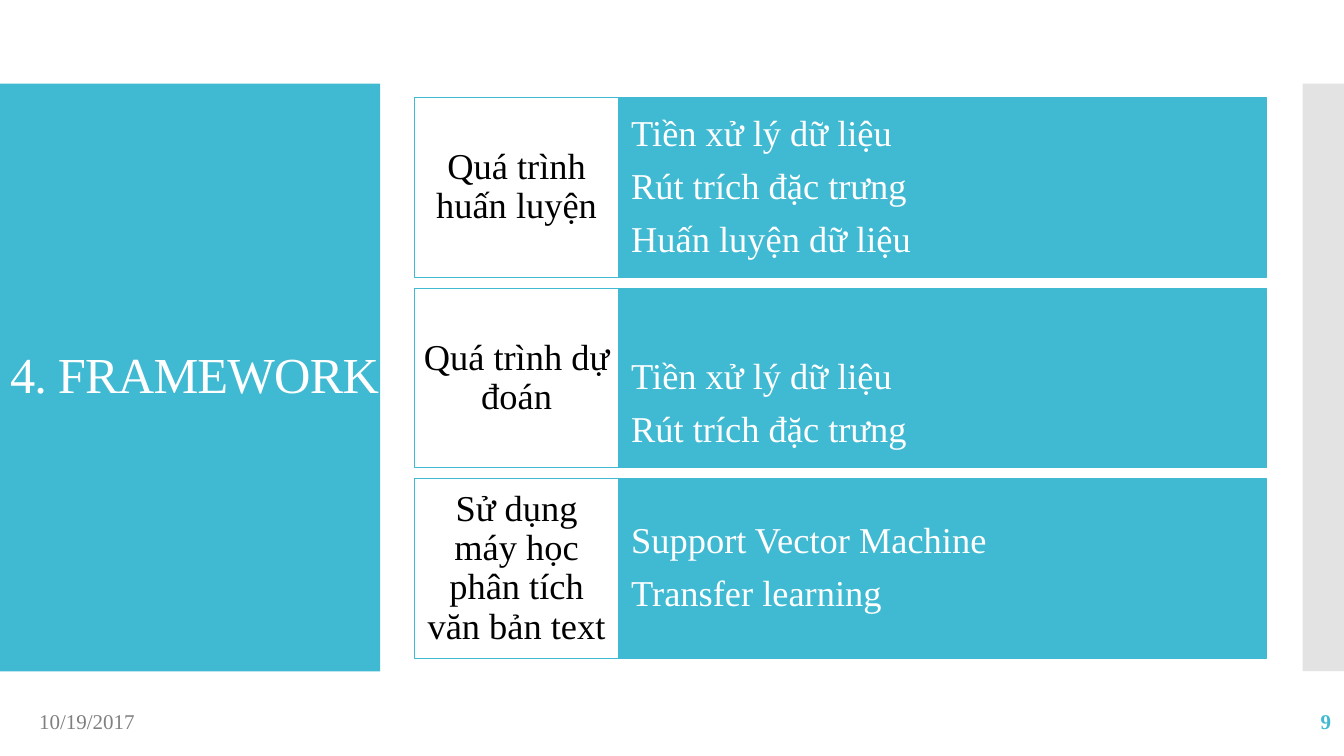
from lxml import etree
from pptx import Presentation
from pptx.dml.color import RGBColor
from pptx.enum.shapes import MSO_SHAPE
from pptx.enum.text import MSO_ANCHOR, MSO_AUTO_SIZE, PP_ALIGN
from pptx.oxml.ns import qn
from pptx.util import Inches, Pt

COLORS = {"teal": "40BAD2", "white": "FFFFFF", "black": "000000",
          "gray": "808080", "edge": "C8C8C8"}
FONT = "Times New Roman"


def color(name):
    return RGBColor.from_string(COLORS[name])


def write(tf, lines, size=26, ink="black", bold=False, align=PP_ALIGN.LEFT,
          spacing=0.9, after=0, tracking=0, insets=(0.1, 0.05, 0.1, 0.05)):
    tf.word_wrap = True
    tf.auto_size = MSO_AUTO_SIZE.NONE
    tf.vertical_anchor = MSO_ANCHOR.MIDDLE
    (tf.margin_left, tf.margin_top,
     tf.margin_right, tf.margin_bottom) = map(Inches, insets)
    for i, line in enumerate(lines):
        p = tf.add_paragraph() if i else tf.paragraphs[0]
        p.alignment, p.line_spacing = align, spacing
        p.space_before, p.space_after = Pt(0), Pt(after)
        r = p.add_run()
        r.text = line
        r.font.name, r.font.size, r.font.bold = FONT, Pt(size), bold
        r.font.color.rgb = color(ink)
        if tracking:
            r.font._element.set("spc", str(round(tracking * 100)))


class SlideBuilder:
    def __init__(self, prs):
        self.s = prs.slides.add_slide(prs.slide_layouts[5])

    def title(self, text, box, **fmt):
        sp = self.s.shapes.title
        sp.left, sp.top, sp.width, sp.height = map(Inches, box)
        sp.fill.solid()
        sp.fill.fore_color.rgb = color("teal")
        write(sp.text_frame, [text], **fmt)

    def rect(self, box, fill, line=None, alpha=None):
        sp = self.s.shapes.add_shape(MSO_SHAPE.RECTANGLE, *map(Inches, box))
        sp.shadow.inherit = False
        sp.fill.solid()
        sp.fill.fore_color.rgb = color(fill)
        if alpha:
            clr = sp.fill._xPr.find(qn("a:solidFill"))[0]
            etree.SubElement(clr, qn("a:alpha"), val=str(alpha * 1000))
        if line:
            sp.line.color.rgb = color(line)
            sp.line.width = Pt(0.85)
        else:
            sp.line.fill.background()
        return sp

    def panel(self, lines, box, fill, **fmt):
        sp = self.rect(box, fill, line="teal")
        write(sp.text_frame, lines, after=10, **fmt)

    def label(self, text, box, **fmt):
        sp = self.s.shapes.add_textbox(*map(Inches, box))
        write(sp.text_frame, [text], size=15, spacing=1, **fmt)


prs = Presentation()
prs.slide_width, prs.slide_height = Inches(13.33), Inches(7.5)
slide = SlideBuilder(prs)

# Title panel and right edge band
slide.title("4. FRAMEWORK", (0, 0.83, 3.77, 5.83), size=36, ink="white",
            tracking=-0.6, insets=(0.1, 0.05, 0, 0.05))
slide.rect((12.92, 0.83, 0.41, 5.83), "edge", alpha=50)

# Framework stages: name, steps, extra inset above the steps
STAGES = [
    ("Quá trình huấn luyện",
     ["Tiền xử lý dữ liệu", "Rút trích đặc trưng", "Huấn luyện dữ liệu"], 0),
    ("Quá trình dự đoán",
     ["Tiền xử lý dữ liệu", "Rút trích đặc trưng"], 0.52),
    ("Sử dụng máy học phân tích văn bản text",
     ["Support Vector Machine", "Transfer learning"], 0),
]
TOP, PITCH, HEIGHT = 0.97, 1.89, 1.78
for row, (stage, steps, drop) in enumerate(STAGES):
    y = TOP + row * PITCH
    slide.panel(steps, (6.14, y, 6.42, HEIGHT), "teal", ink="white",
                insets=(0.12, 0.05 + drop, 0.12, 0.05))
    slide.panel([stage], (4.11, y, 2.03, HEIGHT), "white",
                align=PP_ALIGN.CENTER, insets=(0.08, 0.05, 0.08, 0.05))

# Footer
slide.label("10/19/2017", (0.29, 6.95, 3, 0.4), ink="gray")
slide.label("9", (11.63, 6.95, 1.67, 0.4), ink="teal", bold=True,
            align=PP_ALIGN.RIGHT)

prs.save("out.pptx")
